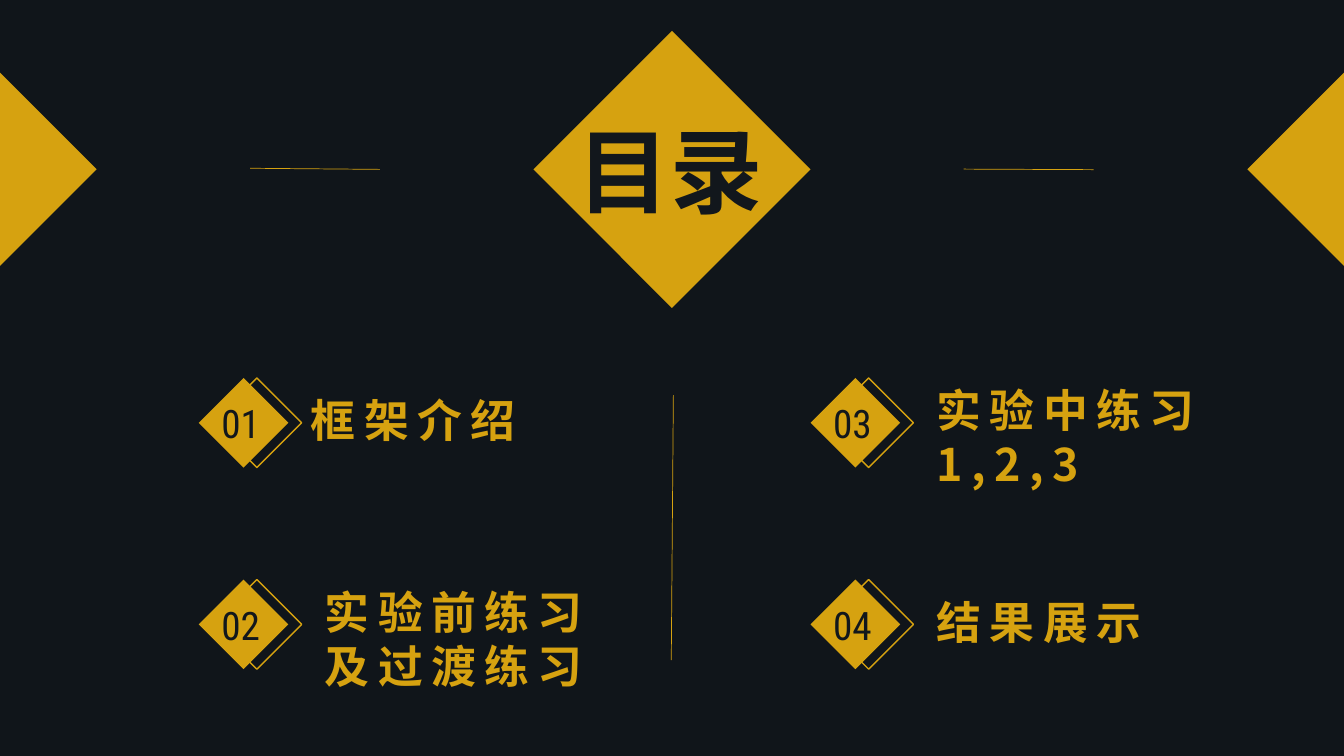
from pptx import Presentation
from pptx.dml.color import RGBColor
from pptx.enum.shapes import MSO_CONNECTOR as Link, MSO_SHAPE as Form
from pptx.enum.text import MSO_ANCHOR as Anchor, MSO_AUTO_SIZE as Fit, PP_ALIGN as Align
from pptx.oxml.ns import qn
from pptx.util import Pt
from lxml import etree

GOLD = RGBColor(0xD6, 0xA2, 0x10)
NIGHT = RGBColor(0x10, 0x15, 0x1A)
INK = RGBColor(0x12, 0x17, 0x1C)
HAN = "Noto Sans CJK SC"

WIDE, HIGH = 960, 540
MID = 121          # centre height of the header band
GEM = 64           # side of a number diamond
COLS = (142, 579)
ROWS = (270, 414)

# number, column, row, label, label left, top, width, height
ITEMS = (
    ("01", 0, 0, "框架介绍", 215, 277, 239, 46),
    ("02", 0, 1, "实验前练习及过渡练习", 225, 414, 235, 85),
    ("03", 1, 0, "实验中练习\n1,2,3", 662, 270, 290, 85),
    ("04", 1, 1, "结果展示", 662, 421, 198, 51),
)

RULES = (
    (481, 282.2, 479.5, 471.6),
    (781.2, 121.2, 688.3, 120.8),
    (271.4, 121, 178.6, 120.2),
)


def add_gem(slide, left, top, side, filled=True):
    gem = slide.shapes.add_shape(Form.DIAMOND, Pt(left), Pt(top), Pt(side), Pt(side))
    gem.shadow.inherit = False
    if filled:
        gem.fill.solid()
        gem.fill.fore_color.rgb = GOLD
        gem.line.fill.background()
    else:
        gem.fill.background()
        gem.line.color.rgb = GOLD
        gem.line.width = Pt(1)


def set_text(box, text, size, font, color, bold=False, gap=0):
    """Fill a box with text; gap is the letter spacing in points."""
    frame = box.text_frame
    frame.text = text
    frame.word_wrap = True
    frame.auto_size = Fit.NONE
    frame.vertical_anchor = Anchor.TOP
    for para in frame.paragraphs:
        para.alignment = Align.LEFT
        for run in para.runs:
            run.font.size = Pt(size)
            run.font.bold = bold
            run.font.color.rgb = color
            run.font.name = font
            props = run.font._element
            etree.SubElement(props, qn("a:ea")).set("typeface", HAN)
            if gap:
                props.set("spc", str(gap * 100))


def add_text(slide, left, top, width, height, *style, **more):
    box = slide.shapes.add_textbox(Pt(left), Pt(top), Pt(width), Pt(height))
    set_text(box, *style, **more)


def add_rule(slide, *ends):
    rule = slide.shapes.add_connector(Link.STRAIGHT, *map(Pt, ends))
    rule.line.color.rgb = GOLD
    rule.line.width = Pt(0.5)
    etree.SubElement(rule._element.spPr, qn("a:effectLst"))


def add_head(slide):
    for centre, side in ((0, 138), (WIDE, 138), (WIDE / 2, 198)):
        add_gem(slide, centre - side / 2, MID - side / 2, side)
    title = slide.shapes.title
    title.left, title.top, title.width, title.height = map(Pt, (405.5, 78, 173.5, 87))
    set_text(title, "目录", 66, "Roboto", INK, bold=True)
    # Bring the title in front of the diamonds
    slide.shapes._spTree.append(title._element)


def add_item(slide, num, col, row, label, *area):
    left, top = COLS[col], ROWS[row]
    add_gem(slide, left, top, GEM)
    add_gem(slide, left + 9.5, top, GEM, filled=False)
    add_text(slide, left + 9, top + 12, 54, 41, num, 28, "Roboto Condensed", INK)
    add_text(slide, *area, label, 32, HAN, GOLD, bold=True, gap=6)


def main():
    deck = Presentation()
    deck.slide_width, deck.slide_height = Pt(WIDE), Pt(HIGH)
    slide = deck.slides.add_slide(deck.slide_layouts[5])
    back = slide.background.fill
    back.solid()
    back.fore_color.rgb = NIGHT
    add_head(slide)
    for item in ITEMS:
        add_item(slide, *item)
    for ends in RULES:
        add_rule(slide, *ends)
    deck.save("out.pptx")


if __name__ == "__main__":
    main()
